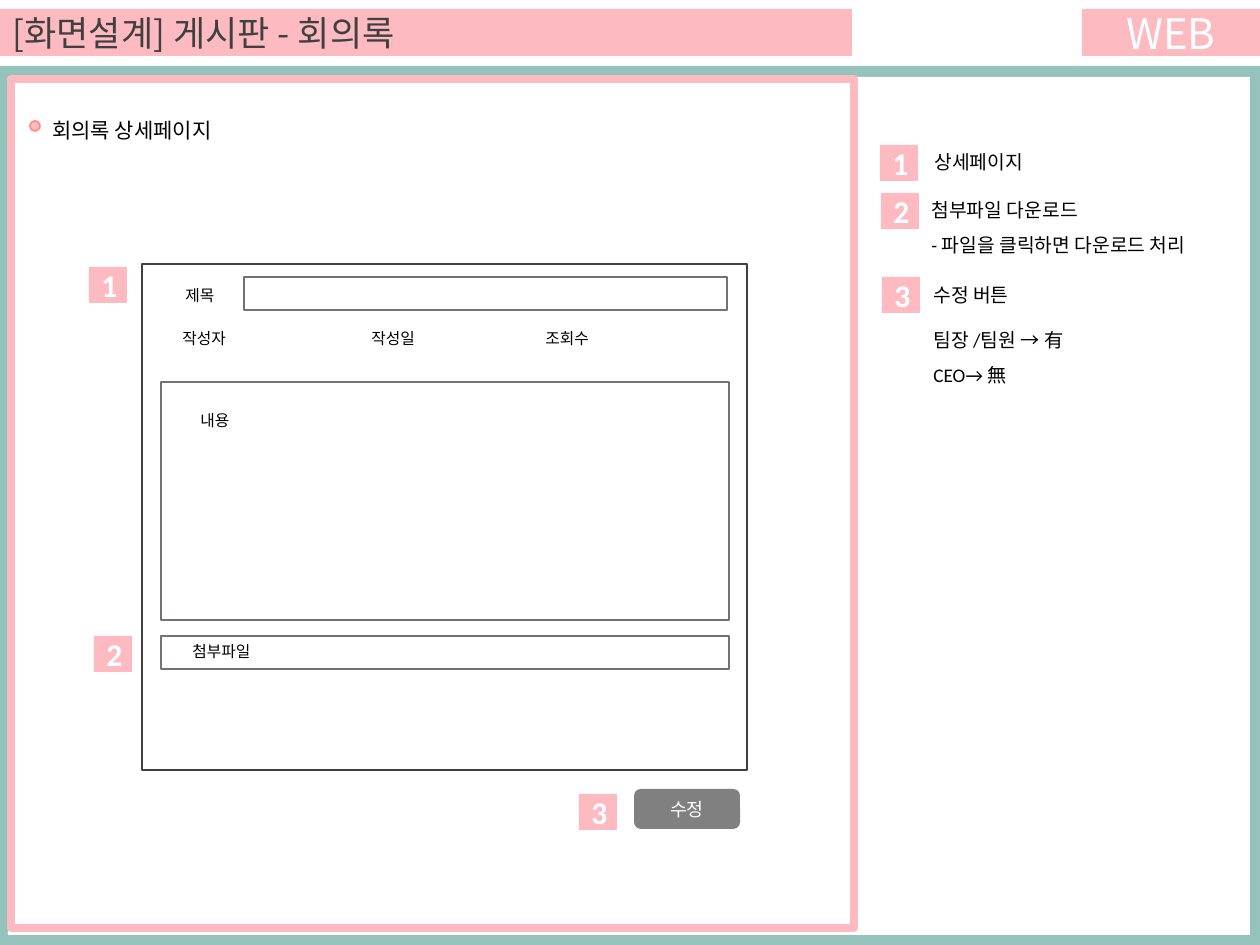
"""Builds the screen design slide for the meeting minutes board."""
from pptx import Presentation
from pptx.dml.color import RGBColor
from pptx.enum.shapes import MSO_SHAPE
from pptx.enum.text import MSO_ANCHOR, MSO_AUTO_SIZE, PP_ALIGN
from pptx.util import Emu, Pt

COLORS = {
    "teal": "94C3BB", "white": "FFFFFF", "pink": "FDBBC1", "coral": "FE907E",
    "dark": "404040", "border": "767171", "button": "808080", "black": "000000",
}
LATIN, KOREAN = "Calibri", "Noto Sans CJK KR"
EMU_PER_PX = 914400 / 126

TITLE = ("[화면설계] 게시판 - 회의록", (0, 9, 852, 47))
PLATFORM = ("WEB", (1082, 9, 178, 47))
BUTTON = ("수정", (634, 789, 106, 40))
BULLET = (30, 121, 10, 10)

PANELS = [
    ((0, 66, 1260, 879), "teal", None, 0),
    ((8, 77, 1242, 858), "white", None, 0),
    ((11, 79, 843, 849), None, "pink", 4.5),
]
FORM_BOXES = [
    ((142, 264, 605, 506), "dark", 1),
    ((244, 277, 483, 33), "border", 0.75),
    ((161, 382, 568, 238), "border", 0.75),
    ((161, 636, 568, 33), "border", 0.75),
]
FORM_LABELS = [
    ("제목", (173, 280, 57, 32)),
    ("작성자", (170, 323, 77, 32)),
    ("작성일", (359, 323, 73, 32)),
    ("조회수", (533, 323, 73, 32)),
    ("내용", (188, 405, 57, 32)),
    ("첨부파일", (180, 636, 92, 32)),
]
BADGE_SIZE = (38, 36)
BADGES = [
    ("1", (880, 145)), ("2", (881, 193)), ("3", (882, 277)),
    ("1", (89, 267)), ("2", (94, 636)), ("3", (579, 794)),
]
HEADING = ("회의록 상세페이지", (40, 111, 486, 38))
NOTES = [
    ([("상세페이지", None)], (922, 144, 348, 36)),
    ([("첨부파일 다운로드", None), ("- 파일을 클릭하면 다운로드 처리", 1.5)],
     (919, 192, 348, 71)),
    ([("수정 버튼", None)], (921, 277, 348, 36)),
    ([("팀장 /팀원 → 有", 1.5), ("CEO→ 無", 1.5)], (921, 311, 215, 79)),
]


def px(value):
    return Emu(round(value * EMU_PER_PX))


def rgb(name):
    return RGBColor.from_string(COLORS[name])


def write(frame, lines, size, color="black", font=LATIN, bold=False, align=PP_ALIGN.LEFT):
    for index, (text, spacing) in enumerate(lines):
        paragraph = frame.add_paragraph() if index else frame.paragraphs[0]
        paragraph.alignment = align
        if spacing:
            paragraph.line_spacing = spacing
        run = paragraph.add_run()
        run.text = text
        run.font.name, run.font.size, run.font.bold = font, Pt(size), bold
        run.font.color.rgb = rgb(color)


def add_box(shapes, box, fill=None, line=None, width=0, kind=MSO_SHAPE.RECTANGLE):
    shape = shapes.add_shape(kind, *map(px, box))
    shape.shadow.inherit = False
    if fill:
        shape.fill.solid()
        shape.fill.fore_color.rgb = rgb(fill)
    else:
        shape.fill.background()
    if line:
        shape.line.color.rgb = rgb(line)
        shape.line.width = Pt(width)
    else:
        shape.line.fill.background()
    return shape


def add_filled_label(shapes, text, box, size, fill="pink", kind=MSO_SHAPE.RECTANGLE,
                     font=KOREAN, bold=False):
    frame = add_box(shapes, box, fill, kind=kind).text_frame
    frame.vertical_anchor = MSO_ANCHOR.MIDDLE
    write(frame, [(text, None)], size, "white", font, bold, PP_ALIGN.CENTER)


def add_text(shapes, lines, box, size, wrap=True):
    frame = shapes.add_textbox(*map(px, box)).text_frame
    frame.word_wrap = wrap
    frame.auto_size = MSO_AUTO_SIZE.SHAPE_TO_FIT_TEXT
    write(frame, lines, size)


def add_title(slide):
    text, box = TITLE
    title = slide.shapes.title
    title.left, title.top, title.width, title.height = map(px, box)
    title.fill.solid()
    title.fill.fore_color.rgb = rgb("pink")
    title.text_frame.auto_size = MSO_AUTO_SIZE.NONE
    title.text_frame.vertical_anchor = MSO_ANCHOR.MIDDLE
    write(title.text_frame, [(text, None)], 20, "dark", KOREAN)


def main():
    presentation = Presentation()
    presentation.slide_width, presentation.slide_height = px(1260), px(945)
    slide = presentation.slides.add_slide(presentation.slide_layouts[5])
    shapes = slide.shapes
    add_title(slide)

    panel_group = shapes.add_group_shape()
    for panel in PANELS:
        add_box(panel_group.shapes, *panel)

    add_filled_label(shapes, *PLATFORM, 24)
    add_box(shapes, BULLET, "pink", "coral", 1, MSO_SHAPE.OVAL)
    heading, heading_box = HEADING
    add_text(shapes, [(heading, None)], heading_box, 12)

    for box, line, width in FORM_BOXES:
        add_box(shapes, box, None, line, width)
    for text, box in FORM_LABELS:
        add_text(shapes, [(text, None)], box, 9, wrap=False)
    add_filled_label(shapes, *BUTTON, 10.5, "button", MSO_SHAPE.ROUNDED_RECTANGLE)

    for number, position in BADGES:
        add_filled_label(shapes, number, position + BADGE_SIZE, 18, font=LATIN, bold=True)
    for lines, box in NOTES:
        add_text(shapes, lines, box, 11)

    presentation.save("out.pptx")


if __name__ == "__main__":
    main()
